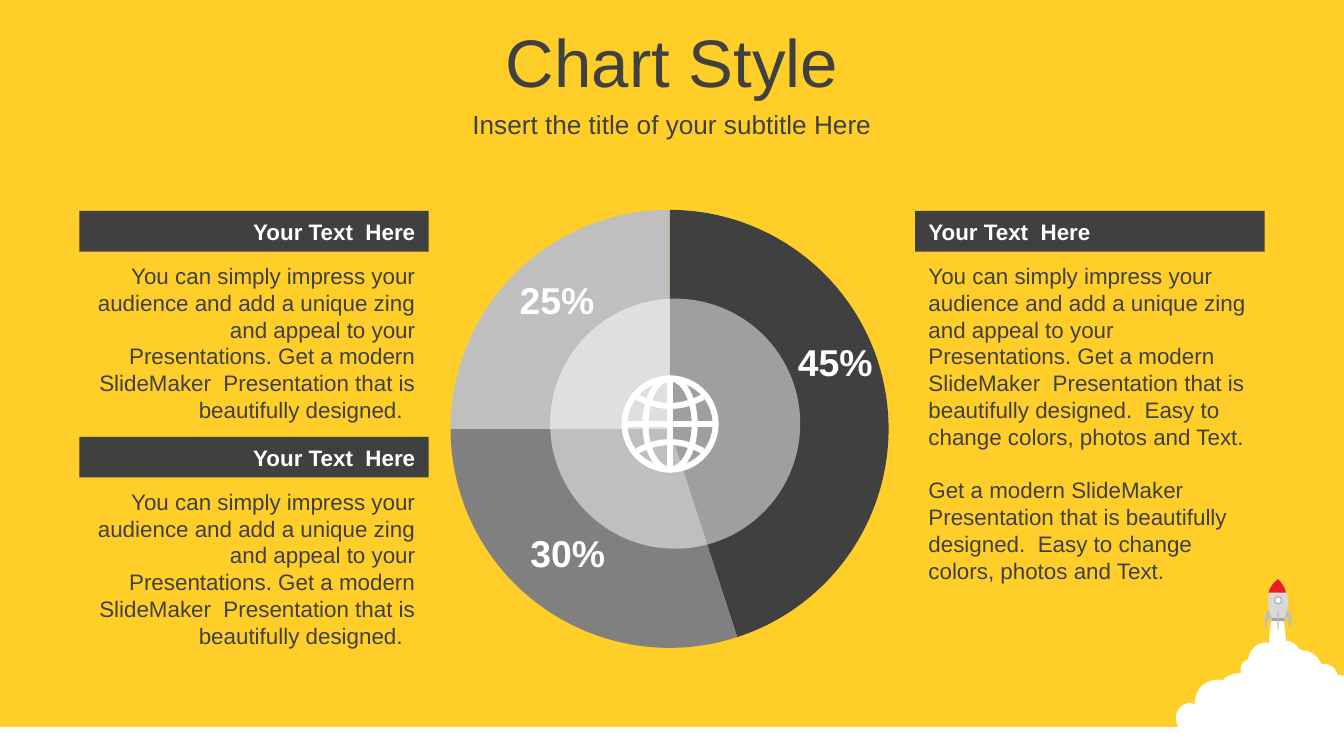
from math import cos, pi, sin

from lxml import etree
from pptx import Presentation
from pptx.chart.data import CategoryChartData
from pptx.dml.color import RGBColor
from pptx.enum.chart import XL_CHART_TYPE
from pptx.enum.shapes import MSO_SHAPE
from pptx.enum.text import MSO_ANCHOR, MSO_AUTO_SIZE, PP_ALIGN
from pptx.oxml import parse_xml
from pptx.oxml.ns import nsdecls, qn
from pptx.util import Pt

LEFT, CENTER, RIGHT = PP_ALIGN.LEFT, PP_ALIGN.CENTER, PP_ALIGN.RIGHT
TOP, MIDDLE = MSO_ANCHOR.TOP, MSO_ANCHOR.MIDDLE
RECTANGLE, OVAL = MSO_SHAPE.RECTANGLE, MSO_SHAPE.OVAL

THEME = {
    "font": "Arial", "background": "FFCE29", "dark": "404040", "white": "FFFFFF",
    "body": "D9D9D9", "band": "A6A6A6", "fin": "BFBFBF", "nose": "ED1C24",
    "title_size": 36, "subtitle_size": 14, "value_size": 20, "text_size": 12,
}

TITLE = "Chart Style"
SUBTITLE = "Insert the title of your subtitle Here"
HEADING = "Your Text  Here"
IMPRESS = ("You can simply impress your audience and add a unique zing and appeal to your "
           "Presentations. Get a modern SlideMaker  Presentation that is beautifully designed.  ")
EASY = "Easy to change colors, photos and Text."
MODERN = "Get a modern SlideMaker  Presentation that is beautifully designed.  "

# left, top, alignment, body height, paragraphs
PANELS = [
    (490.3, 113, LEFT, 181.4, [IMPRESS + EASY, MODERN + EASY]),
    (42.5, 113, RIGHT, 94.3, [IMPRESS]),
    (42.5, 234, RIGHT, 94.3, [IMPRESS]),
]
PANEL_WIDTH, BAR_HEIGHT, BODY_OFFSET, PARAGRAPH_GAP = 187.2, 21.8, 23.8, 14

# value, colour, left and top of its label
SLICES = [(45, "404040", 416.2, 177.8), (30, "808080", 272.9, 280.1), (25, "BFBFBF", 267.1, 144.7)]

# Outlines: a pair is a straight step, six numbers are a Bézier step.
CLOUD = [
    (681.1, 330.5), (687.6, 330.5), (689, 343.4), (690.5, 343.4),
    (692.6, 344.2, 694.8, 345.6, 696.2, 347.8), (697.7, 348.5),
    (702, 348.5, 706.3, 351.4, 707.8, 355.7), (708.5, 355.7),
    (712.8, 355.7, 715.7, 357.8, 716.4, 361.4), (720, 362.2), (720, 404), (638, 404),
    (633, 392.8, 630, 388.8, 630, 384.5), (630, 380.2, 633.6, 376.6, 637.9, 376.6),
    (640.1, 377.3), (640.1, 369.4, 645.1, 364.3, 652.3, 364.3), (655.2, 364.3),
    (658.1, 361.4, 661, 360.7, 664.6, 360.7), (664.6, 358.6),
    (664.6, 356.4, 666, 354.2, 668.2, 353.5), (668.9, 352.1),
    (669.6, 347.8, 673.9, 344.2, 678.2, 344.2), (679.7, 344.9),
]
HULL = [(681.1, 332.6), (679.7, 326.2, 676.8, 316.8, 684.7, 310.3),
        (692.6, 317.5, 689.8, 326.9, 688.3, 332.6)]
NOSE = [(684.7, 310.3), (686.9, 312.5, 688.3, 314.6, 689, 317.5), (679.7, 317.5),
        (680.4, 314.6, 681.8, 312.5, 684.7, 310.3)]
LEFT_FIN = [(679.7, 326.9), (681.1, 330.5), (678.2, 331.9, 679, 335.5, 678.2, 337),
            (677.5, 334.8, 676.8, 329, 679.7, 326.9)]
ROCKET_AXIS = 684.7
RIGHT_FIN = [tuple(2 * ROCKET_AXIS - n if i % 2 == 0 else n for i, n in enumerate(step))
             for step in LEFT_FIN]

GLOBE_CENTER, GLOBE_RADIUS, GLOBE_STROKE = (359, 227.2), 24.4, 3.2


def color(name):
    return RGBColor.from_string(THEME.get(name, name))


def trace(steps, pieces=10):
    """Turn straight and Bézier steps into a list of points."""
    points = [steps[0]]
    for step in steps[1:]:
        if len(step) == 2:
            points.append(step)
            continue
        x0, y0 = points[-1]
        x1, y1, x2, y2, x3, y3 = step
        for i in range(1, pieces + 1):
            t = i / pieces
            a, b, c, d = (1 - t) ** 3, 3 * t * (1 - t) ** 2, 3 * t * t * (1 - t), t ** 3
            points.append((a * x0 + b * x1 + c * x2 + d * x3,
                           a * y0 + b * y1 + c * y2 + d * y3))
    return points


def paint(shape, fill):
    shape.shadow.inherit = False
    shape.fill.solid()
    shape.fill.fore_color.rgb = color(fill)
    shape.line.fill.background()
    return shape


def add_preset(slide, kind, left, top, width, height, fill):
    return paint(slide.shapes.add_shape(kind, Pt(left), Pt(top), Pt(width), Pt(height)), fill)


def add_contours(slide, contours, close):
    scaled = [[(Pt(x), Pt(y)) for x, y in contour] for contour in contours]
    builder = slide.shapes.build_freeform(*scaled[0][0], scale=1.0)
    for number, contour in enumerate(scaled):
        if number:
            builder.move_to(*contour[0])
        builder.add_line_segments(contour[1:], close=close)
    return builder.convert_to_shape()


def write(shape, paragraphs, size, fill="dark", bold=False, align=CENTER, anchor=MIDDLE):
    frame = shape.text_frame
    frame.word_wrap = True
    frame.auto_size = MSO_AUTO_SIZE.NONE
    frame.vertical_anchor = anchor
    for number, text in enumerate(paragraphs):
        para = frame.add_paragraph() if number else frame.paragraphs[0]
        para.alignment = align
        para.space_before = Pt(PARAGRAPH_GAP if number else 0)
        span = para.add_run()
        span.text = text
        span.font.name = THEME["font"]
        span.font.size = Pt(THEME[size])
        span.font.bold = bold
        span.font.color.rgb = color(fill)


def add_text(slide, left, top, width, height, paragraphs, size, **style):
    box = slide.shapes.add_textbox(Pt(left), Pt(top), Pt(width), Pt(height))
    write(box, paragraphs, size, **style)


def add_rocket(slide):
    add_preset(slide, RECTANGLE, 0, 389.5, 720, 15.5, "white")
    for outline, fill in [(CLOUD, "white"), (HULL, "body")]:
        paint(add_contours(slide, [trace(outline)], True), fill)
    add_preset(slide, RECTANGLE, 681.1, 331, 7.4, 1.8, "band")
    paint(add_contours(slide, [trace(NOSE)], True), "nose")
    porthole = add_preset(slide, OVAL, 682.8, 319.7, 3.8, 3.8, "white")
    porthole.line.color.rgb = color("fin")
    porthole.line.width = Pt(1)
    add_preset(slide, RECTANGLE, 684.3, 327.6, 0.7, 9.4, "fin")
    for fin in (LEFT_FIN, RIGHT_FIN):
        paint(add_contours(slide, [trace(fin)], True), "fin")


def add_pie(slide):
    data = CategoryChartData()
    data.categories = [str(i + 1) for i in range(len(SLICES))]
    data.add_series("Series 1", [value for value, *_ in SLICES])
    chart = slide.shapes.add_chart(XL_CHART_TYPE.PIE, Pt(221.8), Pt(96.5),
                                   Pt(279.4), Pt(261.4), data).chart
    chart.has_legend = False
    chart.has_title = False
    chart.font.name = THEME["font"]
    chart.font.size = Pt(18)
    plot = chart.plots[0]
    plot.vary_by_categories = True
    for number, (_, fill, _, _) in enumerate(SLICES):
        paint_format = plot.series[0].points[number].format
        paint_format.fill.solid()
        paint_format.fill.fore_color.rgb = color(fill)
        paint_format.line.fill.background()
    area = plot._element.getparent()
    for old in area.findall(qn("c:layout")):
        area.remove(old)
    area.insert(0, parse_xml(
        f'<c:layout {nsdecls("c")}><c:manualLayout><c:layoutTarget val="inner"/>'
        '<c:xMode val="edge"/><c:yMode val="edge"/><c:x val="0.07"/><c:y val="0.06"/>'
        '<c:w val="0.84"/><c:h val="0.9"/></c:manualLayout></c:layout>'))


def add_globe(slide):
    x, y = GLOBE_CENTER
    r = GLOBE_RADIUS
    turns = [2 * pi * i / 60 for i in range(61)]
    ovals = [[(x + w * cos(t), y + r * sin(t)) for t in turns] for w in (r, 0.54 * r)]
    cross = [[(x - r, y), (x + r, y)], [(x, y - r), (x, y + r)]]
    reach = [i / 10 for i in range(-10, 11)]
    latitudes = [[(x + 17.6 * u, y + side * (9.7 + 4.7 * u * u)) for u in reach]
                 for side in (-1, 1)]
    globe = add_contours(slide, ovals + cross + latitudes, False)
    globe.shadow.inherit = False
    globe.fill.background()
    globe.line.color.rgb = color("white")
    globe.line.width = Pt(GLOBE_STROKE)


def main():
    deck = Presentation()
    deck.slide_width, deck.slide_height = Pt(720), Pt(405)
    slide = deck.slides.add_slide(deck.slide_layouts[0])
    slide.background.fill.solid()
    slide.background.fill.fore_color.rgb = color("background")
    add_rocket(slide)

    headings = [(TITLE, "title_size", 10, 45.4), (SUBTITLE, "subtitle_size", 55.4, 22.3)]
    for box, (text, size, top, height) in zip(slide.placeholders, headings):
        box.left, box.top, box.width, box.height = Pt(0), Pt(top), Pt(720), Pt(height)
        write(box, [text], size)

    add_pie(slide)
    for value, _, left, top in SLICES:
        add_text(slide, left, top, 62.6, 31.7, [f"{value}%"], "value_size",
                 fill="white", bold=True)
    veil = add_preset(slide, OVAL, 294.7, 160, 134, 134, "white")
    shade = veil._element.spPr.find(f'.//{qn("a:srgbClr")}')
    etree.SubElement(shade, qn("a:alpha")).set("val", "50000")
    add_globe(slide)

    for left, top, align, height, paragraphs in PANELS:
        add_text(slide, left, top + BODY_OFFSET, PANEL_WIDTH, height, paragraphs,
                 "text_size", align=align, anchor=TOP)
        bar = add_preset(slide, RECTANGLE, left, top, PANEL_WIDTH, BAR_HEIGHT, "dark")
        write(bar, [HEADING], "text_size", fill="white", bold=True, align=align)
    deck.save("out.pptx")


if __name__ == "__main__":
    main()
